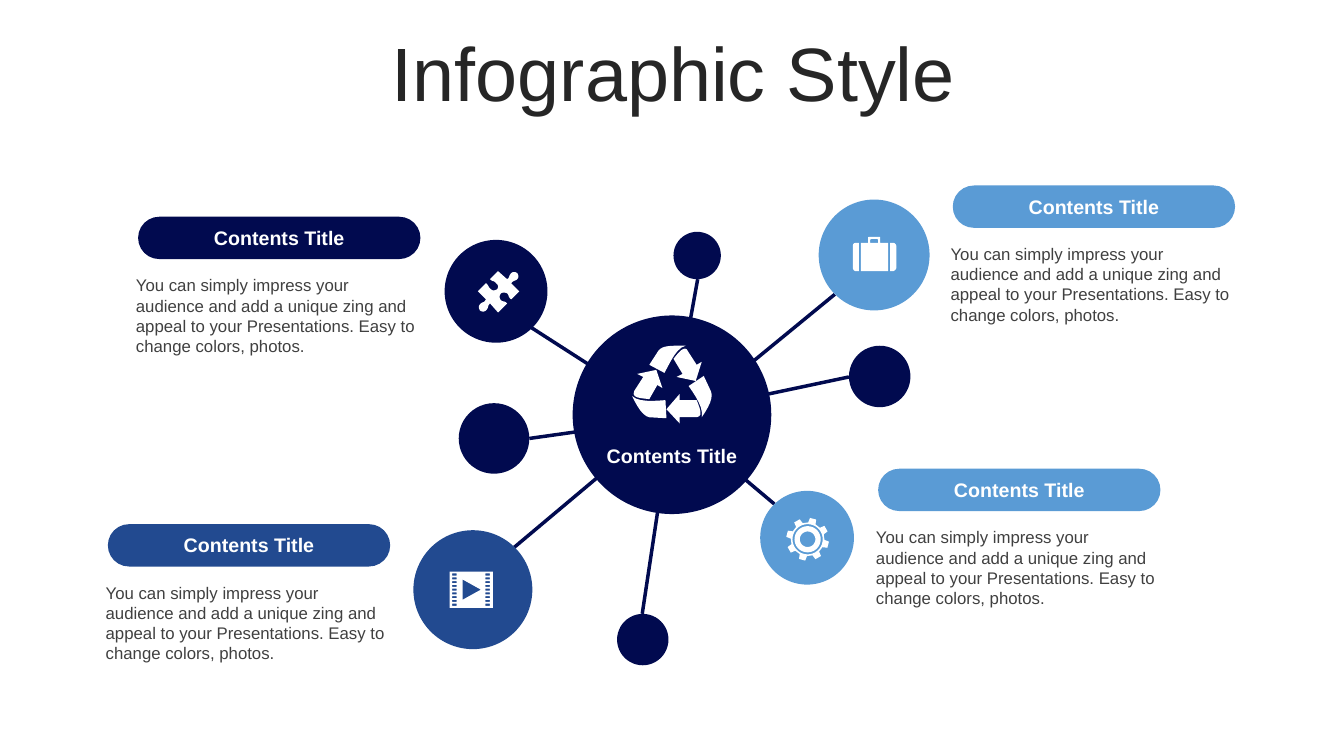
import math

from lxml import etree
from pptx import Presentation
from pptx.dml.color import RGBColor
from pptx.enum.shapes import MSO_CONNECTOR, MSO_SHAPE
from pptx.enum.text import MSO_ANCHOR, PP_ALIGN
from pptx.oxml.ns import qn
from pptx.util import Inches, Pt

LEFT, CENTER = PP_ALIGN.LEFT, PP_ALIGN.CENTER
TOP, MIDDLE = MSO_ANCHOR.TOP, MSO_ANCHOR.MIDDLE
OVAL, PILL = MSO_SHAPE.OVAL, MSO_SHAPE.ROUNDED_RECTANGLE
STRAIGHT = MSO_CONNECTOR.STRAIGHT

NAVY, BLUE, SKY, WHITE = "010A4F", "224A90", "5A9BD5", "FFFFFF"
HEADING = "Contents Title"
BODY = ("You can simply impress your audience and add a unique zing and "
        "appeal to your Presentations. Easy to change colors, photos.")

HUB = (5.68, 3.13, 1.97)
SATELLITES = [
    ((8.12, 1.98, 1.1), SKY, (8.28, 2.92), (6.72, 4.2)),
    ((4.41, 2.38, 1.02), NAVY, (5.27, 3.25), (6.67, 4.15)),
    ((4.1, 5.26, 1.18), BLUE, (5.1, 5.43), (6.41, 4.33)),
    ((7.54, 4.87, 0.93), SKY, (7.68, 5), (6.67, 4.15)),
    ((8.42, 3.43, 0.61), NAVY, (8.42, 3.74), (6.67, 4.11)),
    ((4.55, 4, 0.7), NAVY, (5.25, 4.35), (6.67, 4.15)),
    ((6.12, 6.09, 0.51), NAVY, (6.37, 6.09), (6.67, 4.1)),
    ((6.68, 2.3, 0.47), NAVY, (6.92, 2.77), (6.67, 4.15)),
]
CARDS = [(9.45, 1.84, SKY), (8.71, 4.65, SKY), (1.07, 5.2, BLUE), (1.37, 2.15, NAVY)]

PUZZLE = """
M 39 2 C 40 3 41 6 39 8 C 37 10 35 9 33 12 L 41 20 L 33 28 C 30 26 31 24 29 22
C 27 21 24 21 23 22 C 21 24 21 27 23 29 C 26 31 26 29 29 32 L 20 41 L 12 32
C 9 35 11 36 8 39 C 6 41 3 40 2 39 C 1 37 0 35 2 33 C 4 30 6 32 8 28 L 0 20 L 8 12
C 11 14 10 16 13 18 C 15 20 17 19 19 18 C 20 17 21 14 18 12 C 16 9 15 11 12 8
L 20 0 L 29 8 C 32 6 30 5 33 2 C 35 0 38 1 39 2"""
SUITCASE = """
M 37 6 L 40 6 C 41 6 43 7 43 9 L 43 31 C 43 32 41 34 40 34 L 37 34
M 3 6 L 6 6 L 6 34 L 3 34 C 1 34 0 32 0 31 L 0 9 C 0 7 1 6 3 6
M 19 2 C 18 2 17 3 17 3 L 17 6 L 25 6 L 25 3 C 25 3 24 2 24 2
M 17 0 L 26 0 C 27 0 27 0 27 1 L 27 6 L 35 6 L 35 34 L 8 34 L 8 6 L 15 6 L 15 1
C 15 0 16 0 17 0"""
RECYCLING = """
M 0 50 C 6 56 21 55 33 54 L 34 72 L 17 71 C 11 70 5 61 0 50
M 47 48 L 47 54 L 64 54 C 67 62 71 70 64 71 L 47 71 L 47 77 L 34 63
M 71 30 L 78 45 C 81 51 76 61 69 71 C 71 62 63 50 56 40
M 24 24 L 30 42 L 25 39 L 17 53 C 8 52 -1 52 2 45 L 11 31 L 5 28
M 52 3 C 53 3 54 3 55 5 L 64 19 L 69 16 L 63 35 L 44 31 L 50 28 L 41 13 C 45 8 49 3 52 3
M 44 0 C 47 0 50 0 53 0 C 44 2 38 16 32 27 L 17 19 L 26 5 C 29 1 35 0 44 0"""


def color(value):
    """Turn a hex string into a colour."""
    return RGBColor.from_string(value)


def paint(shape, fill):
    """Give a shape a flat fill without outline or shadow."""
    shape.shadow.inherit = False
    shape.fill.solid()
    shape.fill.fore_color.rgb = color(fill)
    shape.line.fill.background()


def add_shape(page, kind, box, fill):
    """Place a flat preset shape."""
    shape = page.shapes.add_shape(kind, *map(Inches, box))
    paint(shape, fill)
    return shape


def add_text(page, box, text, size, ink, align=LEFT, bold=False, anchor=TOP):
    """Place a wrapped one-paragraph text box and return the paragraph."""
    frame = page.shapes.add_textbox(*map(Inches, box)).text_frame
    frame.word_wrap = True
    frame.vertical_anchor = anchor
    para = frame.paragraphs[0]
    para.text = text
    para.alignment = align
    font = para.runs[0].font
    font.name, font.size, font.bold = "Arial", Pt(size), bold
    font.color.rgb = color(ink)
    return para


def add_spoke(page, start, end):
    """Draw a line from a satellite towards the hub."""
    spoke = page.shapes.add_connector(STRAIGHT, *map(Inches, start + end))
    spoke.line.color.rgb = color(NAVY)
    spoke.line.width = Pt(2.5)
    etree.SubElement(spoke._element.spPr, qn("a:effectLst"))


def add_icon(page, left, top, outlines):
    """Draw white closed outlines, given in hundredths of an inch."""
    placed = [[(Inches(left + x / 100), Inches(top + y / 100)) for x, y in outline]
              for outline in outlines]
    builder = page.shapes.build_freeform(*placed[0][0])
    for outline in placed:
        builder.move_to(*outline[0])
        builder.add_line_segments(outline[1:], close=True)
    paint(builder.convert_to_shape(), WHITE)


def bezier(points, steps=6):
    """Sample a cubic curve after its first point."""
    weights = (1, 3, 3, 1)
    return [tuple(sum(weights[k] * (1 - t) ** (3 - k) * t ** k * points[k][axis]
                      for k in range(4)) for axis in (0, 1))
            for t in (step / steps for step in range(1, steps + 1))]


def outlines_of(drawing):
    """Turn move, line and curve commands into lists of points."""
    outlines = []
    tokens = iter(drawing.split())
    for command in tokens:
        count = 3 if command == "C" else 1
        points = [(float(next(tokens)), float(next(tokens))) for _ in range(count)]
        if command == "M":
            outlines.append(points)
        elif command == "L":
            outlines[-1] += points
        else:
            outlines[-1] += bezier([outlines[-1][-1]] + points)
    return outlines


def rectangle(left, top, width, height):
    """List the corners of a rectangle."""
    return [(left, top), (left + width, top),
            (left + width, top + height), (left, top + height)]


def film_outlines():
    """Outline a film frame with two columns of holes and a play sign."""
    holes = [rectangle(x, 2 + 3.75 * row, 4.5, 2) for row in range(9) for x in (2.5, 35.5)]
    return [rectangle(0, 0, 43, 36), [(13, 8), (13, 28), (31, 18)]] + holes


def gear_outlines(center=21, teeth=8):
    """Outline a gear and the rings inside it."""
    def polar(radius, degrees):
        angle = math.radians(degrees)
        return center + radius * math.sin(angle), center - radius * math.cos(angle)

    rim = [polar(radius, 15 + tooth * 360 / teeth + offset) for tooth in range(teeth)
           for radius, offset in ((16.7, -13), (21.3, -8.5), (21.3, 8.5), (16.7, 13))]
    rings = [[polar(radius, degrees) for degrees in range(0, 360, 10)]
             for radius in (15, 13, 7.7)]
    return [rim] + rings


def draw_network(page):
    """Draw the hub, its satellites and their spokes."""
    for _, _, start, end in SATELLITES:
        add_spoke(page, start, end)
    circles = [(HUB, NAVY)] + [(circle, fill) for circle, fill, _, _ in SATELLITES]
    for (left, top, size), fill in circles:
        add_shape(page, OVAL, (left, top, size, size), fill)
    left, top, size = HUB
    add_text(page, (left + 0.1, top + 1.22, size - 0.2, 0.34), HEADING, 14, WHITE, CENTER, True)


def draw_icons(page):
    """Draw the icons on the hub and the large satellites."""
    add_icon(page, 4.74, 2.69, outlines_of(PUZZLE))
    add_icon(page, 4.46, 5.67, film_outlines())
    add_icon(page, 8.46, 2.35, outlines_of(SUITCASE))
    add_icon(page, 7.8, 5.14, gear_outlines())
    add_icon(page, 6.27, 3.43, outlines_of(RECYCLING))


def draw_card(page, left, top, fill):
    """Draw a pill heading with its description below."""
    add_shape(page, PILL, (left, top, 2.8, 0.42), fill).adjustments[0] = 0.5
    add_text(page, (left - 0.12, top + 0.53, 3.03, 0.91), BODY, 12, "404040")
    add_text(page, (left + 0.09, top + 0.04, 2.62, 0.34), HEADING, 14, WHITE, CENTER, True)


def main():
    """Build the slide and save it."""
    deck = Presentation()
    deck.slide_width, deck.slide_height = Inches(13.33), Inches(7.5)
    page = deck.slides.add_slide(deck.slide_layouts[6])
    title = add_text(page, (0.35, 0.37, 12.66, 0.79), "Infographic Style", 54, "262626",
                     CENTER, anchor=MIDDLE)
    title.line_spacing = 0.9
    title.space_before = Pt(10)
    draw_network(page)
    for card in CARDS:
        draw_card(page, *card)
    draw_icons(page)
    deck.save("out.pptx")


if __name__ == "__main__":
    main()
